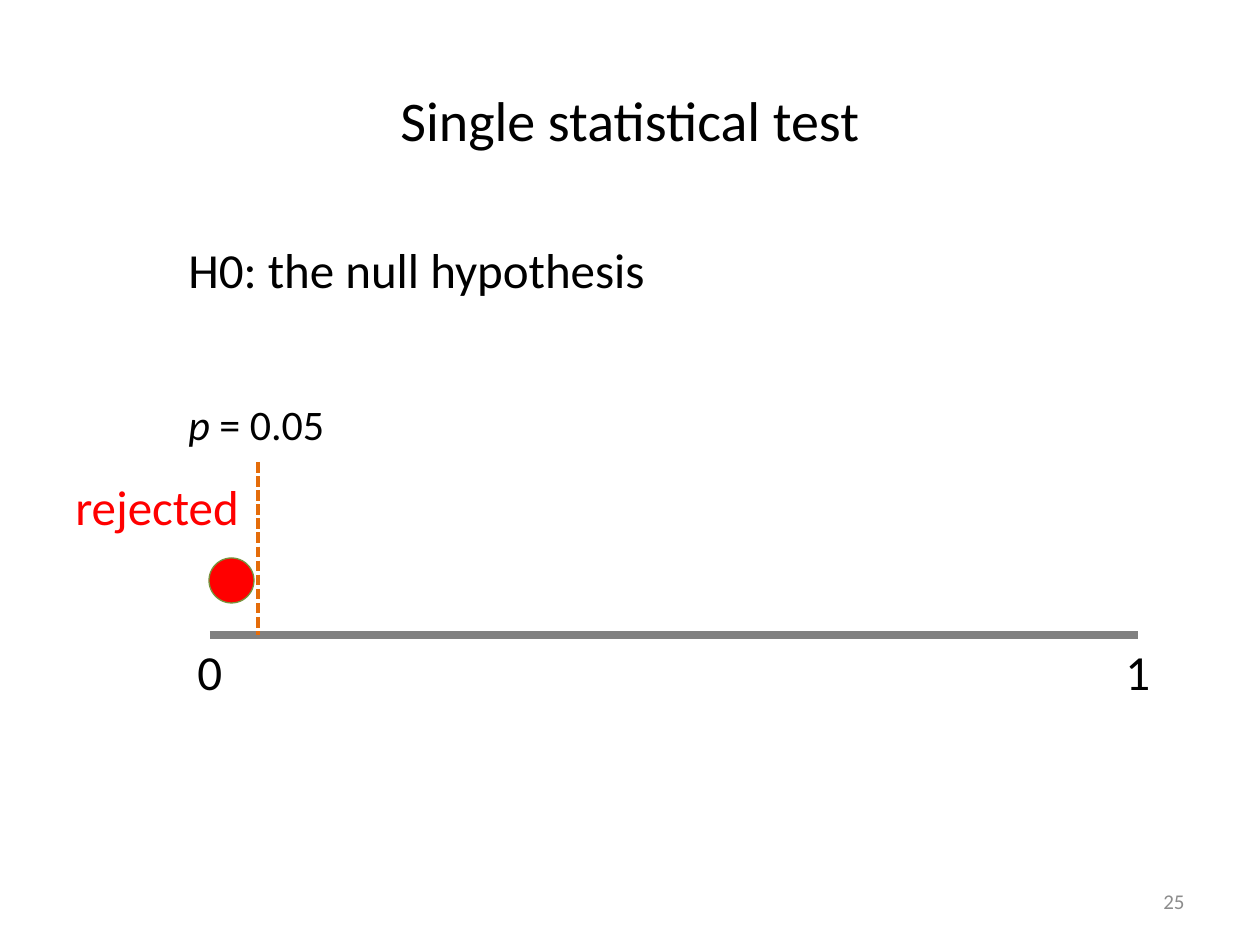
"""Build a slide showing one statistical test on a p-value axis."""
from dataclasses import dataclass

from lxml import etree
from pptx import Presentation
from pptx.dml.color import RGBColor
from pptx.enum.dml import MSO_LINE
from pptx.enum.shapes import MSO_CONNECTOR, MSO_SHAPE
from pptx.enum.text import MSO_ANCHOR, PP_ALIGN
from pptx.oxml.ns import qn
from pptx.util import Pt

STRAIGHT, OVAL, DASH = MSO_CONNECTOR.STRAIGHT, MSO_SHAPE.OVAL, MSO_LINE.SQUARE_DOT
TOP, MIDDLE = MSO_ANCHOR.TOP, MSO_ANCHOR.MIDDLE
LEFT, CENTER, RIGHT = PP_ALIGN.LEFT, PP_ALIGN.CENTER, PP_ALIGN.RIGHT
PX = 914400 // 126


@dataclass(frozen=True)
class Theme:
    font: str = "Calibri"
    black: str = "000000"
    red: str = "FF0000"
    green: str = "77933C"
    orange: str = "E46C0A"
    axis: str = "808080"
    muted: str = "8C8C8C"
    title: int = 32
    body: int = 28
    label: int = 24
    footer: int = 12


THEME = Theme()
AXIS_START, AXIS_END, AXIS_Y = 210, 1138, 635
CUTOFF_X, CUTOFF_TOP = 258, 462
DOT = (209, 558, 45, 45)
TICK_WIDTH, TICK_HEIGHT = 50, 72
TICKS = [("0", AXIS_START), ("1", AXIS_END)]

TEXTS = [
    ([("Single statistical test", False)], (63, 57, 1134, 125),
     THEME.title, THEME.black, CENTER, MIDDLE),
    ([("H0: the null hypothesis", False)], (176, 233, 488, 72),
     THEME.body, THEME.black, LEFT, TOP),
    ([("p", True), (" = 0.05", False)], (176, 392, 165, 63),
     THEME.label, THEME.black, LEFT, TOP),
    ([("rejected", False)], (63, 470, 192, 72),
     THEME.body, THEME.red, LEFT, TOP),
    ([("25", False)], (903, 876, 294, 50),
     THEME.footer, THEME.muted, RIGHT, MIDDLE),
] + [
    ([(value, False)], (x - TICK_WIDTH // 2, AXIS_Y, TICK_WIDTH, TICK_HEIGHT),
     THEME.body, THEME.black, LEFT, TOP)
    for value, x in TICKS
]


def scaled(lengths):
    return [length * PX for length in lengths]


def add_text(slide, spans, frame, size, color, align, anchor):
    text = slide.shapes.add_textbox(*scaled(frame)).text_frame
    text.word_wrap = align != LEFT
    text.vertical_anchor = anchor
    para = text.paragraphs[0]
    para.alignment = align
    for words, italic in spans:
        span = para.add_run()
        span.text = words
        span.font.name = THEME.font
        span.font.size = Pt(size)
        span.font.italic = italic
        span.font.color.rgb = RGBColor.from_string(color)


def add_line(slide, ends, color, width, dash=None):
    line = slide.shapes.add_connector(STRAIGHT, *scaled(ends))
    line.line.color.rgb = RGBColor.from_string(color)
    line.line.width = Pt(width)
    if dash:
        line.line.dash_style = dash
    etree.SubElement(line._element.spPr, qn("a:effectLst"))


def add_dot(slide):
    dot = slide.shapes.add_shape(OVAL, *scaled(DOT))
    dot.shadow.inherit = False
    dot.fill.solid()
    dot.fill.fore_color.rgb = RGBColor.from_string(THEME.red)
    dot.line.color.rgb = RGBColor.from_string(THEME.green)
    dot.line.width = Pt(0.75)


def main():
    deck = Presentation()
    deck.slide_width, deck.slide_height = scaled((1260, 945))
    slide = deck.slides.add_slide(deck.slide_layouts[6])
    add_line(slide, (AXIS_START, AXIS_Y, AXIS_END, AXIS_Y), THEME.axis, 4.5)
    add_dot(slide)
    add_line(slide, (CUTOFF_X, CUTOFF_TOP, CUTOFF_X, AXIS_Y), THEME.orange, 2, DASH)
    for item in TEXTS:
        add_text(slide, *item)
    deck.save("out.pptx")


if __name__ == "__main__":
    main()
